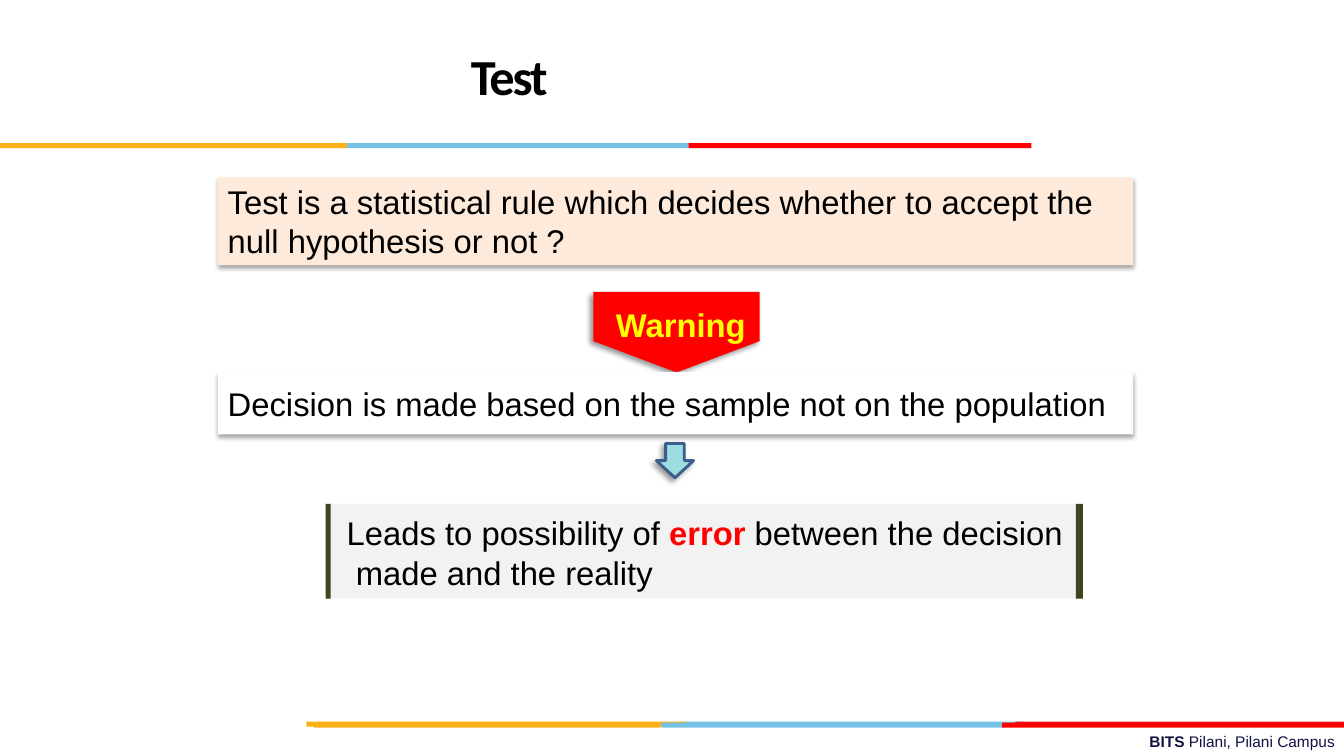
import pptx
import pptx.dml.color
import pptx.enum.shapes
import pptx.enum.text
import pptx.oxml
import pptx.oxml.ns
import pptx.util

Inches = pptx.util.Inches
Shapes = pptx.enum.shapes.MSO_SHAPE
Align = pptx.enum.text.PP_ALIGN
Anchor = pptx.enum.text.MSO_ANCHOR

COLORS = {
    "black": "000000", "white": "FFFFFF", "red": "FF0000", "yellow": "FFFF00",
    "navy": "101141", "orange": "FCB017", "sky": "76C2E5", "crimson": "E31C24",
    "peach": "FDEADA", "aqua": "9DDCDF", "steel": "3A5F8C",
    "gray": "F2F2F2", "olive": "3F451E",
}
# Opacity in percent, blur and distance in points, direction in degrees
PANEL_SHADOW = (35, 3.1, 1.8, 90)
ARROW_SHADOW = (40, 4, 3, 135)


class SlideBuilder:
    font_name = "Arial"
    body_size = 23.4

    def __init__(self, presentation):
        self.slide = presentation.slides.add_slide(presentation.slide_layouts[5])

    def color(self, name):
        return pptx.dml.color.RGBColor.from_string(COLORS[name])

    def add_run(self, paragraph, text, color="black", bold=False, size=None, font=None):
        run = paragraph.add_run()
        run.text = text
        run.font.name = font or self.font_name
        run.font.size = pptx.util.Pt(size or self.body_size)
        run.font.bold = bold
        run.font.color.rgb = self.color(color)
        return run

    def add_title(self, text, left, top, width, height):
        title = self.slide.shapes.title
        title.left, title.top = Inches(left), Inches(top)
        title.width, title.height = Inches(width), Inches(height)
        frame = title.text_frame
        frame.auto_size = pptx.enum.text.MSO_AUTO_SIZE.NONE
        frame.vertical_anchor = Anchor.MIDDLE
        paragraph = frame.paragraphs[0]
        paragraph.alignment = Align.CENTER
        paragraph.line_spacing = pptx.util.Pt(36)
        run = self.add_run(paragraph, text, bold=True, size=36, font="Calibri")
        run.font._element.set("spc", "-150")

    def add_shape(self, kind, left, top, width, height, fill, line=None, shadow=None):
        shape = self.slide.shapes.add_shape(
            kind, Inches(left), Inches(top), Inches(width), Inches(height))
        shape.shadow.inherit = False
        shape.fill.solid()
        shape.fill.fore_color.rgb = self.color(fill)
        if line:
            shape.line.color.rgb = self.color(line)
            shape.line.width = pptx.util.Pt(2)
        else:
            shape.line.fill.background()
        if shadow:
            self.add_shadow(shape, *shadow)
        return shape

    def add_shadow(self, shape, opacity, blur, distance, direction):
        effects = shape._element.spPr.find(pptx.oxml.ns.qn("a:effectLst"))
        effects.append(pptx.oxml.parse_xml(
            f'<a:outerShdw {pptx.oxml.ns.nsdecls("a")} blurRad="{pptx.util.Pt(blur)}" '
            f'dist="{pptx.util.Pt(distance)}" dir="{direction * 60000}" rotWithShape="0">'
            f'<a:srgbClr val="{COLORS["black"]}"><a:alpha val="{opacity * 1000}"/>'
            '</a:srgbClr></a:outerShdw>'))

    def add_stripes(self, top, stripes):
        """Draw a colour band from (left, width, colour) stripes."""
        for left, width, color in stripes:
            self.add_shape(Shapes.RECTANGLE, left, top, width, 0.05, color)

    def add_panel(self, text, top, height, fill):
        panel = self.add_shape(Shapes.RECTANGLE, 2.16, top, 9.08, height,
                               fill, shadow=PANEL_SHADOW)
        frame = panel.text_frame
        frame.word_wrap = True
        frame.vertical_anchor = Anchor.MIDDLE
        frame.paragraphs[0].alignment = Align.LEFT
        self.add_run(frame.paragraphs[0], text)

    def add_text(self, left, top, width, height, lines, wrap=False, align=Align.LEFT):
        """Add a text box; each line is a list of (text, run style) pairs."""
        box = self.slide.shapes.add_textbox(
            Inches(left), Inches(top), Inches(width), Inches(height))
        frame = box.text_frame
        frame.word_wrap = wrap
        for index, line in enumerate(lines):
            paragraph = frame.add_paragraph() if index else frame.paragraphs[0]
            paragraph.alignment = align
            for text, style in line:
                self.add_run(paragraph, text, **style)
        return box


def main():
    presentation = pptx.Presentation()
    presentation.slide_width = Inches(13.33)
    presentation.slide_height = Inches(7.5)
    builder = SlideBuilder(presentation)

    footer = {"color": "navy", "size": 11}
    builder.add_text(4.78, 7.21, 8.56, 0.29,
                     [[("BITS ", {**footer, "bold": True}),
                       ("Pilani, Pilani Campus", footer)]],
                     wrap=True, align=Align.RIGHT)
    builder.add_stripes(7.16, [(6.75, 3.4, "sky"), (10.07, 3.26, "crimson"),
                               (3.04, 3.76, "orange")])
    builder.add_stripes(7.17, [(6.56, 3.4, "sky"), (3.11, 3.44, "orange"),
                               (9.94, 3.39, "red")])
    builder.add_stripes(1.42, [(3.44, 3.4, "sky"), (0, 3.44, "orange"),
                               (6.83, 3.4, "red")])

    builder.add_title("Test", 0.44, 0.17, 9.22, 1.25)
    builder.add_panel("Test is a statistical rule which decides whether to accept "
                      "the null hypothesis or not ?", 1.76, 0.87, "peach")

    pentagon = builder.add_shape(Shapes.PENTAGON, 6.31, 2.47, 0.8, 1.65,
                                 "red", shadow=ARROW_SHADOW)
    pentagon.rotation = 90
    pentagon.adjustments[0] = 0.388
    builder.add_text(6.01, 2.97, 1.5, 0.49,
                     [[("Warning", {"color": "yellow", "bold": True})]])

    builder.add_panel("Decision is made based on the sample not on the population",
                      3.69, 0.62, "white")
    builder.add_shape(Shapes.DOWN_ARROW, 6.51, 4.4, 0.37, 0.34,
                      "aqua", line="steel", shadow=ARROW_SHADOW)

    for left, width, color in ((3.26, 7.44, "gray"), (3.23, 0.05, "olive"),
                               (10.67, 0.07, "olive")):
        builder.add_shape(Shapes.RECTANGLE, left, 5, width, 0.94, color)
    conclusion = builder.add_text(
        3.34, 5.04, 7.38, 0.89,
        [[("Leads to possibility of ", {}),
          ("error", {"color": "red", "bold": True}),
          (" between the decision", {})],
         [("made and the reality", {})]])
    last_line = conclusion.text_frame.paragraphs[1]
    last_line._p.get_or_add_pPr().set("marL", str(Inches(0.09)))

    presentation.save("out.pptx")


if __name__ == "__main__":
    main()
